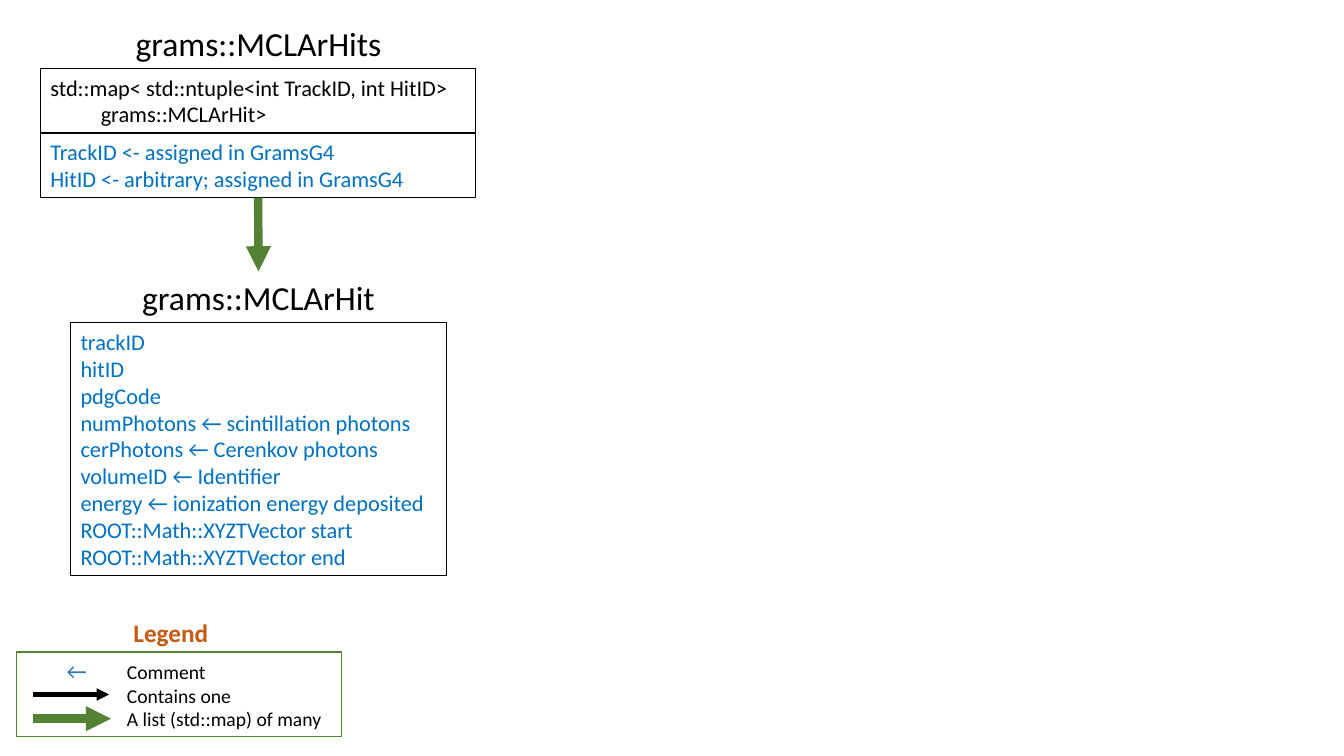
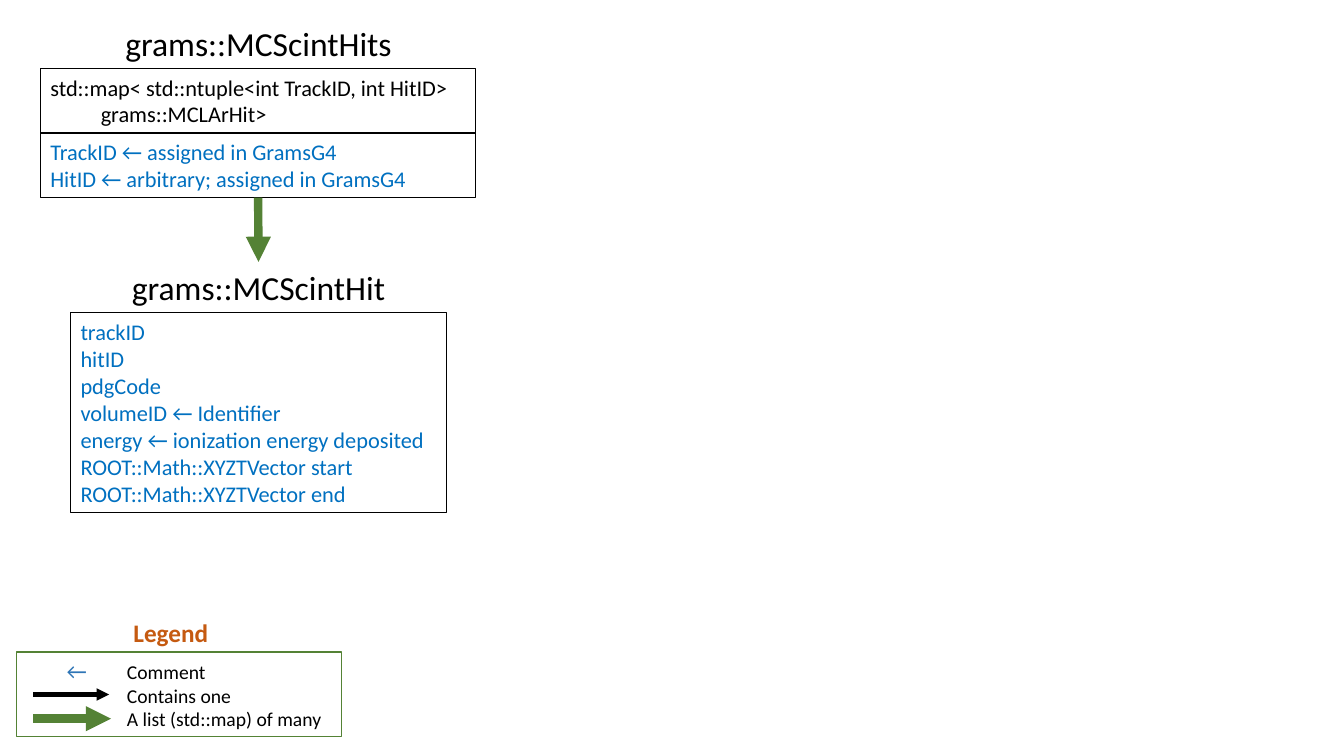
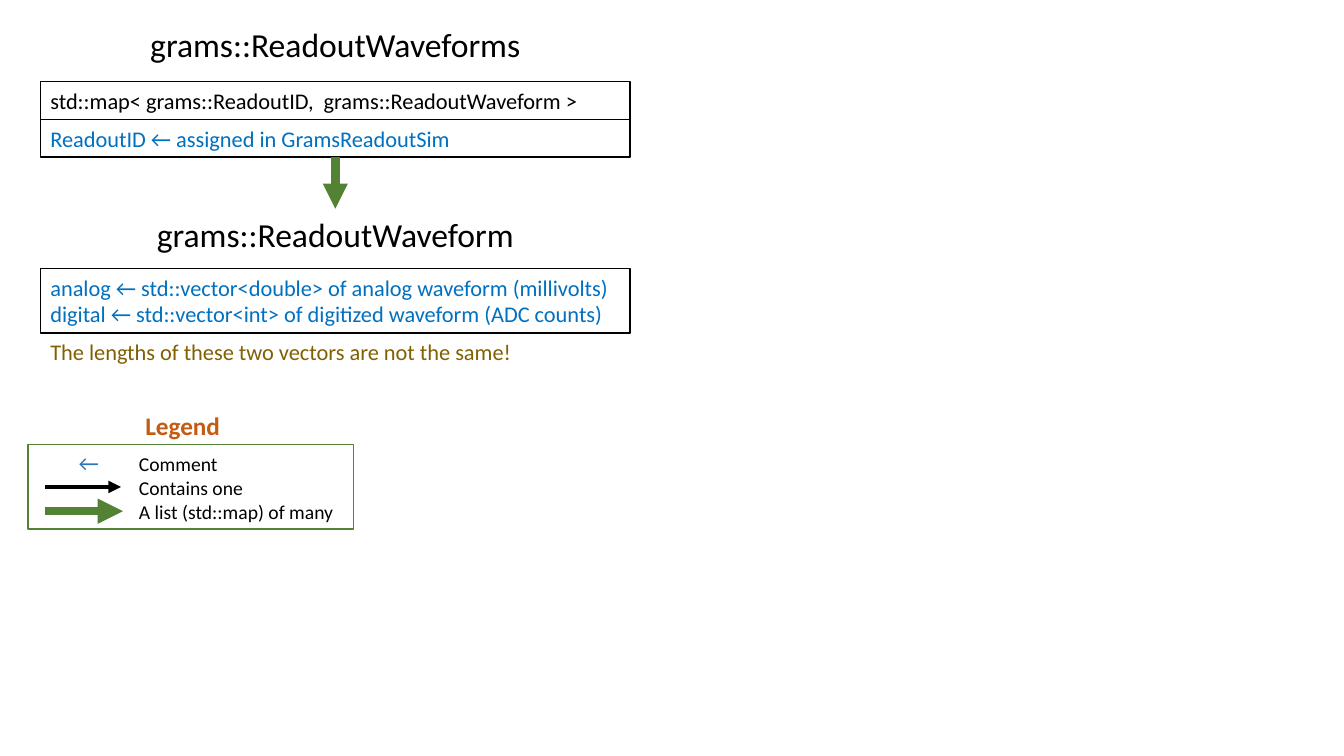
from pptx import Presentation
from pptx.dml.color import RGBColor
from pptx.enum.shapes import MSO_CONNECTOR, MSO_SHAPE
from pptx.enum.text import MSO_ANCHOR, PP_ALIGN
from pptx.oxml.ns import qn
from pptx.util import Cm, Pt
from lxml.etree import SubElement

COLORS = {"black": "000000", "comment": "0070C0", "many": "548235",
          "key": "2E75B6", "legend": "C55A11", "note": "806000"}
TITLE = {"size": Pt(24), "color": "black"}
CODE = {"size": Pt(16), "color": "black"}
COMMENT = {"size": Pt(16), "color": "comment"}
NOTE = {"size": Pt(16), "color": "note"}
KEY = {"size": Pt(16), "color": "key"}
LABEL = {"size": Pt(14), "color": "black"}
HEADING = {"size": Pt(18), "color": "legend", "bold": True}

TITLE_H = 1.28
LINE_H, PADDING = 0.68, 0.27
MAP_TEXT = ["std::map< std::ntuple<int TrackID, int HitID>", "\tgrams::MCLArHit>"]
VECTORS = ["ROOT::Math::XYZTVector start", "ROOT::Math::XYZTVector end"]
IDS = ["trackID", "hitID", "pdgCode"]
DEPOSIT = ["volumeID ← Identifier", "energy ← ionization energy deposited"]

SLIDES = [
    {"titles": ["grams::MCLArHits", "grams::MCLArHit"],
     "map": MAP_TEXT,
     "keys": ["TrackID <- assigned in GramsG4",
              "HitID <- arbitrary; assigned in GramsG4"],
     "fields": IDS + ["numPhotons ← scintillation photons",
                      "cerPhotons ← Cerenkov photons"] + DEPOSIT + VECTORS,
     "top": 0.44, "gaps": (0, 0), "arrow": 1.86,
     "map_span": (1.02, 10.97), "field_span": (1.78, 9.47),
     "legend": (0.41, 16.43)},
    {"titles": ["grams::MCScintHits", "grams::MCScintHit"],
     "map": MAP_TEXT,
     "keys": ["TrackID ← assigned in GramsG4",
              "HitID ← arbitrary; assigned in GramsG4"],
     "fields": IDS + DEPOSIT + VECTORS,
     "top": 0.44, "gaps": (0, 0), "arrow": 1.62,
     "map_span": (1.02, 10.97), "field_span": (1.78, 9.47),
     "legend": (0.41, 16.43)},
    {"titles": ["grams::ReadoutWaveforms", "grams::ReadoutWaveform"],
     "map": ["std::map< grams::ReadoutID,  grams::ReadoutWaveform >"],
     "keys": ["ReadoutID ← assigned in GramsReadoutSim"],
     "fields": ["analog ← std::vector<double> of analog waveform (millivolts)",
                "digital ← std::vector<int> of digitized waveform (ADC counts)"],
     "note": "The lengths of these two vectors are not the same!",
     "top": 0.48, "gaps": (0.3, 0.22), "arrow": 1.3,
     "map_span": (1.02, 14.86), "field_span": (1.02, 14.86),
     "legend": (0.71, 11.2)},
]


def rgb(name):
    return RGBColor.from_string(COLORS[name])


def add_run(p, text, fmt):
    r = p.add_run()
    r.text = text
    r.font.name = "Calibri"
    for key, value in fmt.items():
        if key == "color":
            r.font.color.rgb = rgb(value)
        else:
            setattr(r.font, key, value)


def write(sp, lines, align=PP_ALIGN.LEFT, anchor=MSO_ANCHOR.MIDDLE):
    """Fill a shape with paragraphs, each a list of (text, format) runs."""
    tf = sp.text_frame
    tf.word_wrap = True
    tf.vertical_anchor = anchor
    for i, runs in enumerate(lines):
        p = tf.add_paragraph() if i else tf.paragraphs[0]
        p.alignment = align
        for text, fmt in runs:
            add_run(p, text, fmt)


def add_text(shapes, x, y, w, h, text, fmt, align=PP_ALIGN.LEFT):
    sp = shapes.add_textbox(Cm(x), Cm(y), Cm(w), Cm(h))
    write(sp, [[(text, fmt)]], align)
    return sp


def add_title(slide, x, y, w, text):
    sp = slide.shapes.title
    sp.left, sp.top, sp.width, sp.height = Cm(x), Cm(y), Cm(w), Cm(TITLE_H)
    write(sp, [[(text, TITLE)]], PP_ALIGN.CENTER)


def add_frame(shapes, x, y, w, h, color):
    sp = shapes.add_shape(MSO_SHAPE.RECTANGLE, Cm(x), Cm(y), Cm(w), Cm(h))
    sp.shadow.inherit = False
    sp.fill.background()
    sp.line.color.rgb = rgb(color)
    sp.line.width = Pt(1)
    return sp


def box_height(lines):
    return PADDING + LINE_H * len(lines)


def add_box(slide, span, y, lines, fmt):
    x, w = span
    sp = add_frame(slide.shapes, x, y, w, box_height(lines), "black")
    write(sp, [[(line, fmt)] for line in lines])
    return sp


def add_arrow(shapes, x1, y1, x2, y2, color, width):
    cxn = shapes.add_connector(MSO_CONNECTOR.STRAIGHT, Cm(x1), Cm(y1), Cm(x2), Cm(y2))
    cxn.line.color.rgb = rgb(color)
    cxn.line.width = Pt(width)
    SubElement(cxn.line._get_or_add_ln(), qn("a:tailEnd"), type="triangle")
    SubElement(cxn._element.spPr, qn("a:effectLst"))
    return cxn


def set_tabs(p, stops):
    tabs = SubElement(p._p.get_or_add_pPr(), qn("a:tabLst"))
    for stop in stops:
        SubElement(tabs, qn("a:tab"), pos=str(Cm(stop)), algn="l")


def add_legend(slide, x, y):
    shapes = slide.shapes.add_group_shape().shapes
    sp = add_frame(shapes, x, y, 8.2, 2.13, "many")
    write(sp, [[("\t←\t", KEY), ("Comment", LABEL)],
               [("\tContains one", LABEL)],
               [("\tA list (std::map) of many", LABEL)]], anchor=MSO_ANCHOR.TOP)
    for p, stops in zip(sp.text_frame.paragraphs, [(1.02, 2.54), (2.54,), (2.54,)]):
        set_tabs(p, stops)
    for dy, length, color, width in [(1.68, 1.96, "many", 6), (1.07, 1.91, "black", 3)]:
        add_arrow(shapes, x + 0.43, y + dy, x + 0.43 + length, y + dy, color, width)
    add_text(shapes, x + 2.18, y - 1, 3.43, 1.02, "Legend", HEADING, PP_ALIGN.CENTER)


def add_class_diagram(slide, d):
    """Stack the map class, an arrow and the class that the map holds."""
    x, w = d["field_span"]
    y = d["top"]
    add_title(slide, x, y, w, d["titles"][0])
    y += TITLE_H + d["gaps"][0]
    add_box(slide, d["map_span"], y, d["map"], CODE)
    y += box_height(d["map"])
    keys = add_box(slide, d["map_span"], y, d["keys"], COMMENT)
    y += box_height(d["keys"])
    arrow = add_arrow(slide.shapes, x + w / 2, y, x + w / 2, y + d["arrow"], "many", 6)
    y += d["arrow"]
    held = add_text(slide.shapes, x, y, w, TITLE_H, d["titles"][1], TITLE, PP_ALIGN.CENTER)
    arrow.begin_connect(keys, 2)
    arrow.end_connect(held, 0)
    y += TITLE_H + d["gaps"][1]
    add_box(slide, d["field_span"], y, d["fields"], COMMENT)
    y += box_height(d["fields"])
    if "note" in d:
        add_text(slide.shapes, x, y, w, box_height([d["note"]]), d["note"], NOTE)


def main():
    prs = Presentation()
    prs.slide_width, prs.slide_height = Cm(33.87), Cm(19.05)
    for d in SLIDES:
        slide = prs.slides.add_slide(prs.slide_layouts.get_by_name("Title Only"))
        add_class_diagram(slide, d)
        add_legend(slide, *d["legend"])
    prs.save("out.pptx")


if __name__ == "__main__":
    main()
